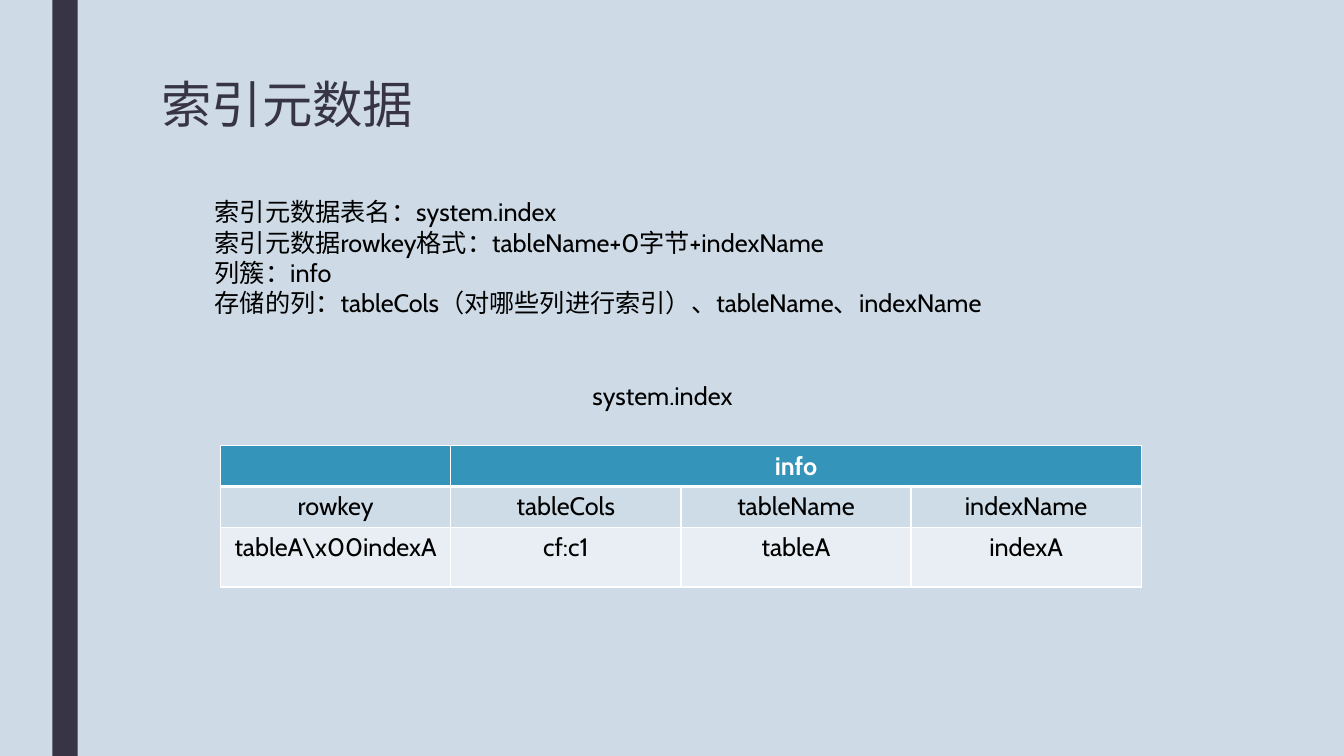
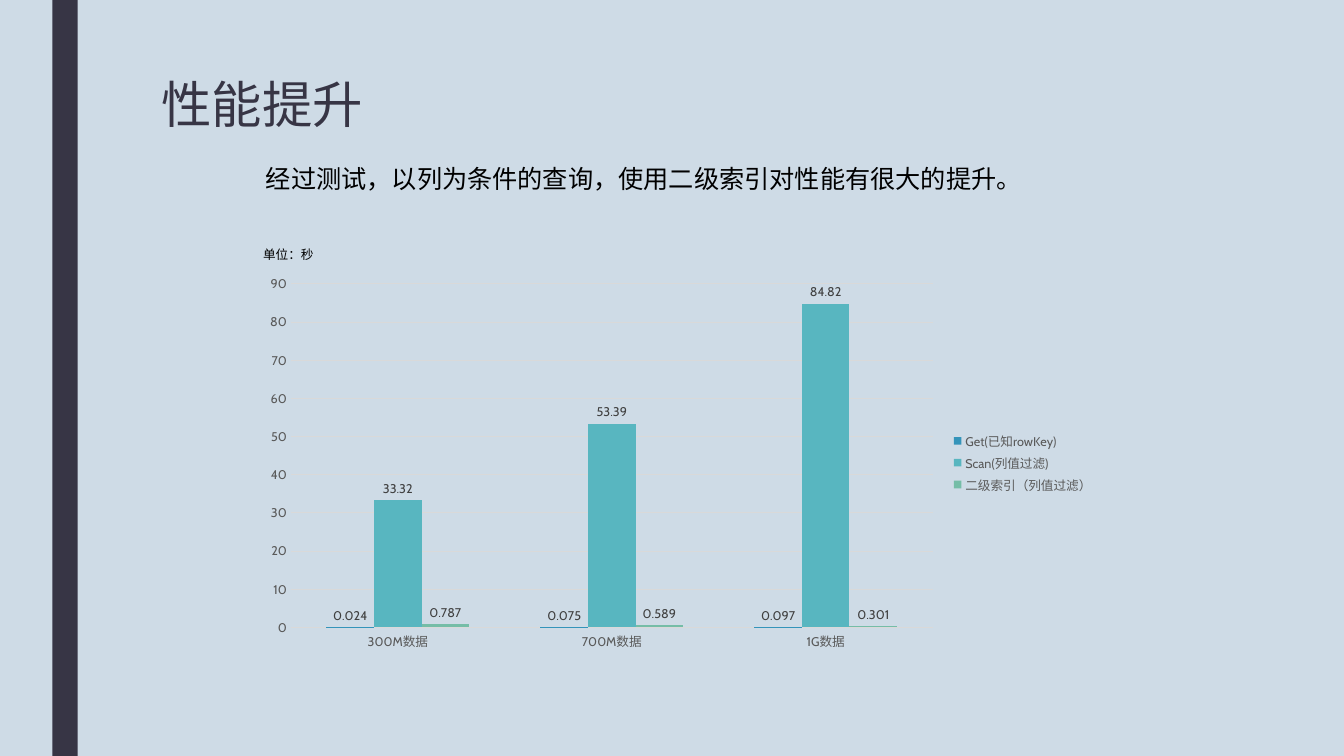
"""Build two slides on secondary index metadata and its performance gain."""
from dataclasses import dataclass

from lxml import etree
from pptx import Presentation
from pptx import util as u
from pptx.chart.data import CategoryChartData
from pptx.dml.color import RGBColor
from pptx.enum import chart as ch
from pptx.enum import shapes, text
from pptx.oxml import ns

FONT = "Cabin"
COLORS = {
    "background": "CEDBE6", "dark": "373545", "black": "000000", "white": "FFFFFF",
    "header": "3494BA", "columns": "CEDCE7", "record": "E8EEF3",
    "axis_text": "595959", "label_text": "404040", "grid": "D9D9D9",
    "get": "3494BA", "scan": "58B6C0", "index": "75BDA7",
}


@dataclass(frozen=True)
class Box:
    """Position and size in centimetres."""
    left: float
    top: float
    width: float
    height: float

    def lengths(self) -> tuple:
        return tuple(u.Cm(v) for v in (self.left, self.top, self.width, self.height))


@dataclass(frozen=True)
class TableRow:
    """One table row with its look."""
    texts: tuple
    fill: str
    height: float
    color: str = "black"
    bold: bool = False
    bottom_pt: float = 1


@dataclass(frozen=True)
class Measurement:
    """Query times of one access method."""
    name: str
    seconds: tuple
    color: str


BAND = Box(1.32, 0, 0.64, 19.05)
COLUMN_WIDTH = 5.8
ROWS = (
    TableRow(("", "info", "", ""), "header", 1.02, "white", True, 3),
    TableRow(("rowkey", "tableCols", "tableName", "indexName"), "columns", 1.02),
    TableRow((r"tableA\x00indexA", "cf:c1", "tableA", "indexA"), "record", 1.5),
)
DATA_SIZES = ("300M数据", "700M数据", "1G数据")
MEASUREMENTS = (
    Measurement("Get(已知rowKey)", (0.024, 0.075, 0.097), "get"),
    Measurement("Scan(列值过滤)", (33.32, 53.39, 84.82), "scan"),
    Measurement("二级索引（列值过滤）", (0.787, 0.589, 0.301), "index"),
)


def rgb(name: str) -> RGBColor:
    return RGBColor.from_string(COLORS[name])


def style_font(font, size: float, color: str, bold: bool = False) -> None:
    font.name, font.size, font.bold = FONT, u.Pt(size), bold
    font.color.rgb = rgb(color)


def add_titled_slide(prs, heading: str, box: Box):
    slide = prs.slides.add_slide(prs.slide_layouts[5])
    band = slide.shapes.add_shape(shapes.MSO_SHAPE.RECTANGLE, *BAND.lengths())
    band.shadow.inherit = False
    band.fill.solid()
    band.fill.fore_color.rgb = rgb("dark")
    band.line.fill.background()
    title = slide.shapes.title
    title.left, title.top, title.width, title.height = box.lengths()
    title.text_frame.text = heading
    title.text_frame.vertical_anchor = text.MSO_ANCHOR.TOP
    title.text_frame.auto_size = text.MSO_AUTO_SIZE.NONE
    paragraph = title.text_frame.paragraphs[0]
    paragraph.alignment = text.PP_ALIGN.LEFT
    paragraph.line_spacing = 0.89
    style_font(paragraph.font, 36, "dark")
    return slide


def add_text(slide, box: Box, lines: tuple, size: float = 18) -> None:
    frame = slide.shapes.add_textbox(*box.lengths()).text_frame
    frame.word_wrap = True
    frame.auto_size = text.MSO_AUTO_SIZE.SHAPE_TO_FIT_TEXT
    frame.text = "\n".join(lines)
    for paragraph in frame.paragraphs:
        style_font(paragraph.font, size, "black")


def set_borders(cell, top_pt: float, bottom_pt: float) -> None:
    properties = cell._tc.get_or_add_tcPr()
    widths = (("a:lnL", 1), ("a:lnR", 1), ("a:lnT", top_pt), ("a:lnB", bottom_pt))
    for position, (tag, width) in enumerate(widths):
        line = etree.Element(ns.qn(tag), w=str(u.Pt(width)))
        fill = etree.SubElement(line, ns.qn("a:solidFill"))
        etree.SubElement(fill, ns.qn("a:srgbClr"), val=COLORS["white"])
        properties.insert(position, line)


def add_index_table(slide, left: float, top: float) -> None:
    columns = len(ROWS[0].texts)
    box = Box(left, top, columns * COLUMN_WIDTH, sum(row.height for row in ROWS))
    table = slide.shapes.add_table(len(ROWS), columns, *box.lengths()).table
    table.horz_banding = False
    for column in table.columns:
        column.width = u.Cm(COLUMN_WIDTH)
    top_pt = 1
    for r, row in enumerate(ROWS):
        table.rows[r].height = u.Cm(row.height)
        for c, content in enumerate(row.texts):
            cell = table.cell(r, c)
            cell.text = content
            paragraph = cell.text_frame.paragraphs[0]
            paragraph.alignment = text.PP_ALIGN.CENTER
            style_font(paragraph.font, 18, row.color, row.bold)
            cell.fill.solid()
            cell.fill.fore_color.rgb = rgb(row.fill)
            set_borders(cell, top_pt, row.bottom_pt)
        top_pt = row.bottom_pt
    table.cell(0, 1).merge(table.cell(0, columns - 1))


def style_axis(axis) -> None:
    axis.major_tick_mark = axis.minor_tick_mark = ch.XL_TICK_MARK.NONE
    style_font(axis.tick_labels.font, 9, "axis_text")


def style_rule(line) -> None:
    line.color.rgb = rgb("grid")
    line.width = u.Pt(0.75)


def add_time_chart(slide, box: Box) -> None:
    data = CategoryChartData(number_format="General")
    data.categories = DATA_SIZES
    for measurement in MEASUREMENTS:
        data.add_series(measurement.name, measurement.seconds)
    chart = slide.shapes.add_chart(
        ch.XL_CHART_TYPE.COLUMN_CLUSTERED, *box.lengths(), data).chart
    chart.has_title = False
    style_font(chart.font, 10, "black")
    chart.has_legend = True
    chart.legend.position = ch.XL_LEGEND_POSITION.RIGHT
    chart.legend.include_in_layout = False
    style_font(chart.legend.font, 9, "axis_text")

    style_axis(chart.category_axis)
    style_rule(chart.category_axis.format.line)
    seconds_axis = chart.value_axis
    style_axis(seconds_axis)
    seconds_axis.minimum_scale, seconds_axis.maximum_scale = 0, 90
    seconds_axis.major_unit = 10
    seconds_axis.format.line.fill.background()
    style_rule(seconds_axis.major_gridlines.format.line)

    plot = chart.plots[0]
    plot.gap_width, plot.overlap = 150, 0
    plot.vary_by_categories = False
    for series, measurement in zip(plot.series, MEASUREMENTS):
        series.format.fill.solid()
        series.format.fill.fore_color.rgb = rgb(measurement.color)
        labels = series.data_labels
        labels.show_value = True
        labels.position = ch.XL_LABEL_POSITION.OUTSIDE_END
        style_font(labels.font, 9, "label_text")


def main() -> None:
    prs = Presentation()
    prs.slide_width, prs.slide_height = u.Cm(33.87), u.Cm(19.05)
    background = prs.slide_master.background.fill
    background.solid()
    background.fore_color.rgb = rgb("background")

    metadata = add_titled_slide(prs, "索引元数据", Box(3.81, 1.9, 22.35, 2.03))
    add_index_table(metadata, 5.56, 11.23)
    add_text(metadata, Box(14.68, 9.45, 4.65, 1.8), ("system.index",))
    add_text(metadata, Box(5.16, 4.83, 24.41, 3.33), (
        "索引元数据表名：system.index",
        "索引元数据rowkey格式：tableName+0字节+indexName",
        "列簇：info",
        "存储的列：tableCols（对哪些列进行索引）、tableName、indexName",
    ))

    performance = add_titled_slide(prs, "性能提升", Box(3.81, 1.9, 25.37, 2.26))
    add_time_chart(performance, Box(6.38, 6.76, 21.44, 9.8))
    add_text(performance, Box(6.38, 6.1, 2.16, 0.64), ("单位：秒",), 9)
    add_text(performance, Box(6.45, 3.99, 20.45, 1.02),
             ("经过测试，以列为条件的查询，使用二级索引对性能有很大的提升。",))
    prs.save("out.pptx")


if __name__ == "__main__":
    main()
